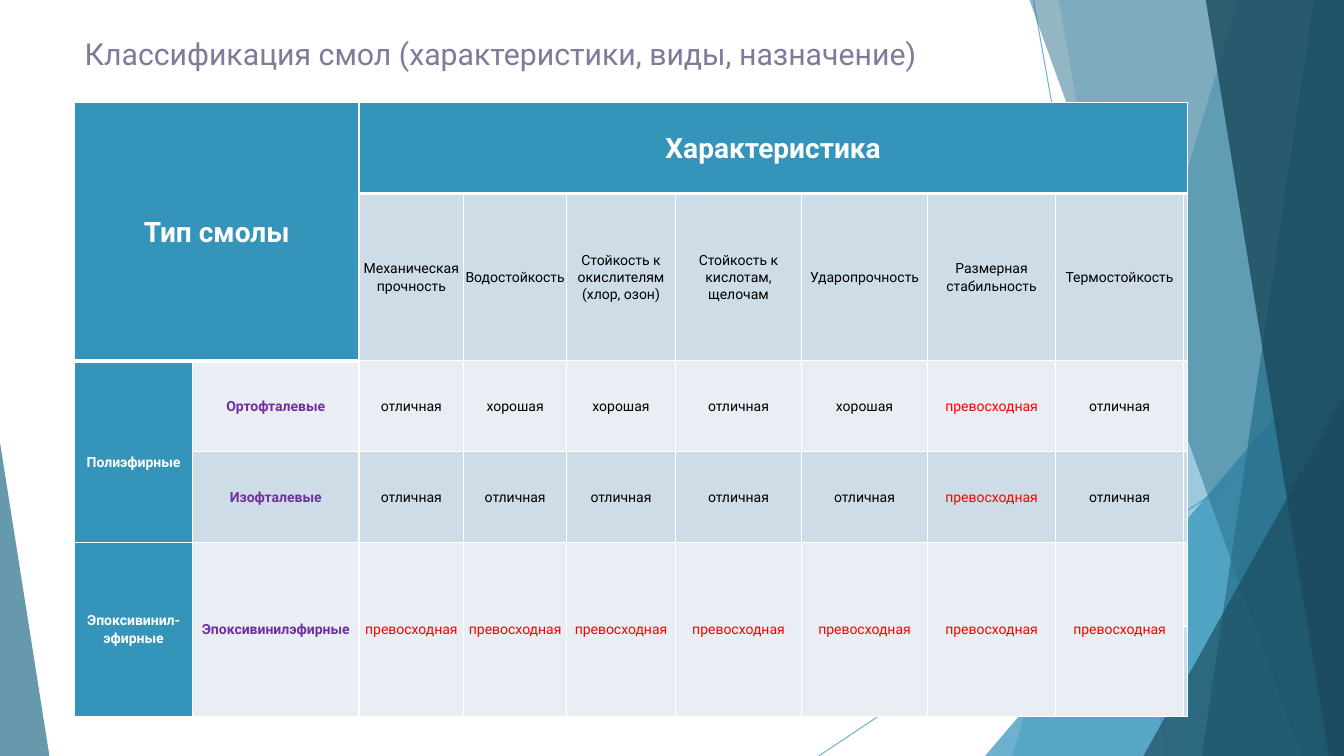
from lxml.etree import SubElement
from pptx import Presentation
from pptx.dml.color import RGBColor
from pptx.enum.shapes import MSO_CONNECTOR, MSO_SHAPE
from pptx.enum.text import MSO_ANCHOR, MSO_AUTO_SIZE, PP_ALIGN
from pptx.oxml.ns import qn
from pptx.util import Inches, Pt

FONT = "Roboto"
BLUE, DEEP, NAVY = "3494BA", "276F8B", "1A4A5D"
BAND_DARK, BAND_LIGHT = "CEDCE7", "E8EEF3"
WHITE, BLACK, RED, PURPLE = "FFFFFF", "000000", "FF0000", "7030A0"

COLUMN_WIDTHS = [1.17, 1.65, 1.04, 1.02, 1.08, 1.25, 1.25, 1.27, 1.27, 0.04]
ROW_HEIGHTS = [0.9, 1.66, 0.9, 0.9, 0.83, 0.9]
PROPERTIES = ["Механическая прочность", "Водостойкость",
              "Стойкость к окислителям (хлор, озон)",
              "Стойкость к кислотам, щелочам", "Ударопрочность",
              "Размерная стабильность", "Термостойкость"]
GOOD, FINE, BEST = "хорошая", "отличная", "превосходная"
RESINS = [
    ("Ортофталевые", [FINE, GOOD, GOOD, FINE, GOOD, BEST, FINE]),
    ("Изофталевые", [FINE] * 5 + [BEST, FINE]),
    ("Эпоксивинилэфирные", [BEST] * 7),
]


def color(value):
    return RGBColor.from_string(value)


def set_alpha(shape, percent):
    for fill_color in shape._element.spPr.iter(qn("a:srgbClr")):
        SubElement(fill_color, qn("a:alpha"), val=str(percent * 1000))


def paint(shape, fill, percent):
    shape.shadow.inherit = False
    shape.fill.solid()
    shape.fill.fore_color.rgb = color(fill)
    set_alpha(shape, percent)
    shape.line.fill.background()


def add_ray(slide, start, end):
    ray = slide.shapes.add_connector(
        MSO_CONNECTOR.STRAIGHT, *map(Inches, start + end))
    ray.line.color.rgb = color(BLUE)
    ray.line.width = Pt(0.75)
    set_alpha(ray, 70)
    SubElement(ray._element.spPr, qn("a:effectLst"))


def add_facet(slide, top_x, bottom_x, right, bottom, fill, percent):
    """Full-height facet with a slanted left edge, reaching the right edge."""
    builder = slide.shapes.build_freeform(Inches(top_x), 0)
    corners = [(right, 0), (right, bottom), (bottom_x, bottom)]
    builder.add_line_segments([(Inches(x), Inches(y)) for x, y in corners])
    paint(builder.convert_to_shape(), fill, percent)


def add_wedge(slide, left, top, width, height, apex, fill, percent):
    wedge = slide.shapes.add_shape(
        MSO_SHAPE.ISOSCELES_TRIANGLE, *map(Inches, (left, top, width, height)))
    wedge.adjustments[0] = apex
    paint(wedge, fill, percent)


def add_backdrop(slide, width, height):
    add_ray(slide, (10.25, 0), (11.58, height))
    add_ray(slide, (width, 4.03), (8.12, height))
    add_facet(slide, 12.28, 10.04, width, height, BLUE, 36)
    add_facet(slide, 10.5, 11.83, width, height, BLUE, 20)
    add_wedge(slide, width - 3.56, height - 4.17, 3.56, 4.17, 1, BLUE, 72)
    add_facet(slide, 10.21, 12.91, width, height, DEEP, 50)
    add_facet(slide, 13.03, 11.92, width, height, DEEP, 70)
    add_facet(slide, 11.96, 13.18, width, height, NAVY, 80)
    add_wedge(slide, width - 1.99, height - 3.57, 1.99, 3.57, 1, NAVY, 66)
    add_wedge(slide, 0, height - 3.11, 0.49, 3.11, 0, DEEP, 70)


def set_title(slide, left, top, width, height):
    title = slide.shapes.title
    title.left, title.top, title.width, title.height = map(
        Inches, (left, top, width, height))
    frame = title.text_frame
    frame.text = "Классификация смол (характеристики, виды, назначение)"
    frame.auto_size = MSO_AUTO_SIZE.NONE
    frame.vertical_anchor = MSO_ANCHOR.TOP
    para = frame.paragraphs[0]
    para.alignment = PP_ALIGN.LEFT
    para.font.name, para.font.size = FONT, Pt(21.6)
    para.font.color.rgb = color("7F7B9A")


def style_cell(cell, row, column):
    """Set margins, white borders (thick under the header) and band fill."""
    header_end = 1 if column < 2 else 0
    widths = {"L": 1, "R": 1,
              "T": 3 if row == header_end + 1 else 1,
              "B": 3 if row == header_end else 1}
    properties = cell._tc.get_or_add_tcPr()
    for side, width in widths.items():
        border = SubElement(properties, qn(f"a:ln{side}"), w=str(Pt(width)))
        fill = SubElement(border, qn("a:solidFill"))
        SubElement(fill, qn("a:srgbClr"), val=WHITE)
    cell.margin_left = cell.margin_right = 0
    cell.margin_top = cell.margin_bottom = 0
    cell.fill.solid()
    is_header = row <= header_end or column == 0
    band = BAND_DARK if row % 2 else BAND_LIGHT
    cell.fill.fore_color.rgb = color(BLUE if is_header else band)


def write_cell(cell, text, ink=BLACK, size=10, bold=False, offset=None):
    """Centre the text, or start it the given offset below the cell's top."""
    cell.text = text
    cell.vertical_anchor = MSO_ANCHOR.MIDDLE
    if offset is not None:
        cell.vertical_anchor = MSO_ANCHOR.TOP
        cell.margin_top = Inches(offset)
    para = cell.text_frame.paragraphs[0]
    para.alignment = PP_ALIGN.CENTER
    para.line_spacing = 1.07
    para.space_after = Pt(8)
    para.font.name, para.font.size, para.font.bold = FONT, Pt(size), bold
    para.font.color.rgb = color(ink)


def add_resin_table(slide, left, top):
    rows, columns = len(ROW_HEIGHTS), len(COLUMN_WIDTHS)
    table = slide.shapes.add_table(
        rows, columns, Inches(left), Inches(top),
        Inches(sum(COLUMN_WIDTHS)), Inches(sum(ROW_HEIGHTS))).table
    for column, width in enumerate(COLUMN_WIDTHS):
        table.columns[column].width = Inches(width)
    for row, height in enumerate(ROW_HEIGHTS):
        table.rows[row].height = Inches(height)
        for column in range(columns):
            style_cell(table.cell(row, column), row, column)

    merges = [((0, 0), (1, 1)), ((0, 2), (0, columns - 1)), ((2, 0), (3, 0))]
    merges += [((4, column), (5, column)) for column in range(columns - 1)]
    for first, last in merges:
        table.cell(*first).merge(table.cell(*last))

    write_cell(table.cell(0, 0), "Тип смолы", WHITE, 20, True)
    write_cell(table.cell(0, 2), "Характеристика", WHITE, 20, True)
    write_cell(table.cell(2, 0), "Полиэфирные", WHITE, 10, True, 0.92)
    write_cell(table.cell(4, 0), "Эпоксивинил-эфирные", WHITE, 10, True, 0.69)
    for column, name in enumerate(PROPERTIES, 2):
        write_cell(table.cell(1, column), name)
    for row, (resin, grades) in enumerate(RESINS, 2):
        write_cell(table.cell(row, 1), resin, PURPLE, bold=True)
        for column, grade in enumerate(grades, 2):
            ink = RED if grade == BEST else BLACK
            write_cell(table.cell(row, column), grade, ink)


def main():
    deck = Presentation()
    deck.slide_width, deck.slide_height = Inches(13.33), Inches(7.5)
    slide = deck.slides.add_slide(deck.slide_layouts[5])
    add_backdrop(slide, 13.33, 7.5)
    add_resin_table(slide, 0.74, 1.02)
    set_title(slide, 0.74, 0.3, 12.1, 0.42)
    deck.save("out.pptx")


if __name__ == "__main__":
    main()
